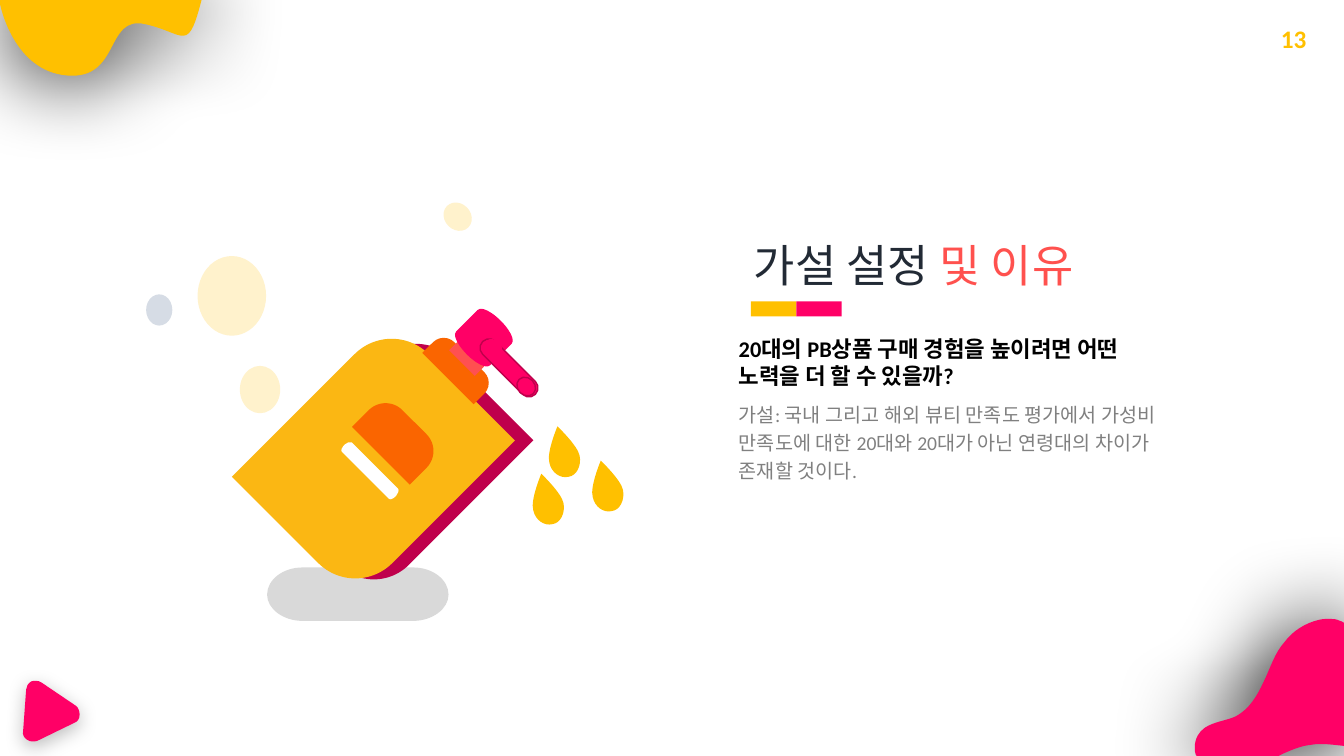
from dataclasses import dataclass

from lxml.etree import SubElement
from pptx import Presentation
from pptx.dml.color import RGBColor
from pptx.enum.lang import MSO_LANGUAGE_ID as Language
from pptx.enum.shapes import MSO_SHAPE as Preset
from pptx.enum.text import MSO_ANCHOR as Anchor, MSO_AUTO_SIZE as AutoSize, PP_ALIGN as Align
from pptx.oxml.ns import qn
from pptx.util import Inches, Pt

UNIT = Inches(0.1)  # one grid step: the slide has 75 rows
COLUMNS, ROWS = 133.33, 75


@dataclass(frozen=True)
class Theme:
    font: str = "Calibri"
    title_size: int = 32
    number_size: int = 18
    question_size: int = 16
    body_size: int = 14
    gold: str = "FFC000"
    pink: str = "FF0066"
    crimson: str = "BF004C"
    amber: str = "FBB713"
    orange: str = "FA6500"
    coral: str = "FF5050"
    title_accent: str = "FF514E"
    cream: str = "FFF2CC"
    mist: str = "D6DCE5"
    ground: str = "D9D9D9"
    white: str = "FFFFFF"
    black: str = "000000"
    navy: str = "222A35"
    grey: str = "808080"


THEME = Theme()


@dataclass(frozen=True)
class Box:
    """A region in grid steps; inner() gives a region relative to it."""
    left: float
    top: float
    width: float
    height: float

    def inner(self, left, top, width, height):
        return Box(self.left + left, self.top + top, width, height)

    def emu(self):
        return [round(value * UNIT) for value in (self.left, self.top, self.width, self.height)]


def paint(shape, fill, line=None):
    shape.shadow.inherit = False
    shape.fill.solid()
    shape.fill.fore_color.rgb = RGBColor.from_string(fill)
    if line:
        shape.line.color.rgb = RGBColor.from_string(line)
        shape.line.width = Pt(1)
    else:
        shape.line.fill.background()
    return shape


def add_preset(slide, preset, box, fill, line=None, rotation=0, adjust=()):
    shape = slide.shapes.add_shape(preset, *box.emu())
    shape.rotation = rotation
    for index, value in enumerate(adjust):
        shape.adjustments[index] = value
    return paint(shape, fill, line)


def add_outline(slide, box, start, segments, fill):
    """Draw line (x, y) and cubic (x1, y1, x2, y2, x, y) segments from start."""
    numbers = [*start, *(value for segment in segments for value in segment)]
    points = [((box.left + x) * UNIT, (box.top + y) * UNIT)
              for x, y in zip(numbers[::2], numbers[1::2])]
    builder = slide.shapes.build_freeform(*points[0])
    builder.add_line_segments(points[1:], close=True)
    shape = builder.convert_to_shape()
    legs = iter(list(shape._element.iter(qn("a:lnTo"))))
    for segment in segments:
        leg = next(legs)
        if len(segment) == 6:
            leg.tag = qn("a:cubicBezTo")
            for extra in (next(legs), next(legs)):
                leg.append(extra[0])
                extra.getparent().remove(extra)
    return paint(shape, fill)


def add_shadow(shape, opacity, blur, distance=0, angle=0):
    effects = shape._element.spPr.find(qn("a:effectLst"))
    shadow = SubElement(effects, qn("a:outerShdw"), blurRad=str(Pt(blur)),
                        dist=str(Pt(distance)), dir=str(angle * 60000),
                        algn="ctr", rotWithShape="0")
    color = SubElement(shadow, qn("a:srgbClr"), val=THEME.black)
    SubElement(color, qn("a:alpha"), val=str(opacity * 1000))


def write(shape, box, *parts, size, bold=False, align=Align.LEFT, spacing=1.0):
    """Fill a text shape with one paragraph made of (text, colour) parts."""
    shape.left, shape.top, shape.width, shape.height = box.emu()
    frame = shape.text_frame
    frame.word_wrap = True
    frame.auto_size = AutoSize.NONE
    frame.vertical_anchor = Anchor.TOP
    para = frame.paragraphs[0]
    properties = para._p.get_or_add_pPr()
    properties.set("marL", "0")
    properties.set("indent", "0")
    SubElement(properties, qn("a:buNone"))
    para.alignment = align
    para.line_spacing = spacing
    para.space_before = Pt(0)
    for text, color in parts:
        span = para.add_run()
        span.text = text
        span.font.name = THEME.font
        span.font.size = Pt(size)
        span.font.bold = bold
        span.font.language_id = Language.KOREAN
        span.font.color.rgb = RGBColor.from_string(color)
        SubElement(span.font._element, qn("a:ea"), typeface=THEME.font)


def draw_bottle(slide, box):
    def part(preset, place, fill, line=None, adjust=(), rotation=45):
        add_preset(slide, preset, box.inner(*place), fill, line, rotation, adjust)

    add_outline(slide, box, (27, 41.6), [
        (28.9, 41.6, 30.5, 40.4, 30.5, 39), (30.5, 37.5, 28.9, 36.3, 27, 36.3), (16, 36.3),
        (14.1, 36.3, 12.5, 37.5, 12.5, 39), (12.5, 40.4, 14.1, 41.6, 16, 41.6),
        (27, 41.6)], THEME.ground)
    part(Preset.ROUND_2_DIAG_RECTANGLE, (17, 14.6, 16.4, 22.4), THEME.crimson, adjust=(0.3, 0))
    for place, fill, rotation in (((9.8, 16.3, 4, 4.7), THEME.cream, 0),
                                  ((5.6, 5.4, 6.8, 7.9), THEME.cream, 0),
                                  ((0.5, 9.2, 2.6, 3.1), THEME.mist, 0),
                                  ((29.9, 0.2, 3, 2.6), THEME.cream, 45)):
        part(Preset.OVAL, place, fill, rotation=rotation)
    part(Preset.ROUND_2_DIAG_RECTANGLE, (14.4, 14.3, 17.3, 22.4), THEME.amber, adjust=(0.3, 0))
    part(Preset.ROUND_2_SAME_RECTANGLE, (27.9, 15, 7.2, 3), THEME.orange, adjust=(0.5, 0))
    part(Preset.SNIP_2_SAME_RECTANGLE, (30.7, 14.4, 3.6, 1.9), THEME.coral, adjust=(0.33, 0))
    part(Preset.FLOWCHART_MAGNETIC_DISK, (31.7, 11.2, 4.6, 4.6), THEME.pink, THEME.pink)
    part(Preset.ROUNDED_RECTANGLE, (32.8, 15.6, 7.4, 1.8), THEME.pink, THEME.crimson, (0.5,))
    part(Preset.OVAL, (33.9, 13.7, 2, 1.7), THEME.pink)
    part(Preset.OVAL, (37.2, 17.5, 2, 1.7), THEME.pink, THEME.crimson)
    add_outline(slide, box, (20.2, 24.1), [
        (20.4, 23.9, 20.7, 23.8, 20.9, 23.9), (25.5, 28.5),
        (25.6, 28.6, 25.5, 29, 25.3, 29.2), (25, 29.5, 24.7, 29.6, 24.6, 29.5),
        (19.9, 24.8), (19.8, 24.7, 19.9, 24.4, 20.2, 24.1)], THEME.white)
    for tip in ((41.3, 22.3), (45.6, 25.7), (39.7, 27)):
        add_outline(slide, box.inner(*tip, 3, 5), (0, 0), [
            (0, 0, 2, 1.9, 2.2, 2.9), (2.4, 3.9, 1.9, 4.9, 1.1, 5),
            (0.3, 5.2, -0.6, 4.6, -0.8, 3.6), (-1.1, 2.6, 0, 0, 0, 0)], THEME.gold)
    part(Preset.ROUND_2_SAME_RECTANGLE, (21.4, 21.2, 8.1, 4.7), THEME.orange, adjust=(0.5, 0))


def draw_top_blob(slide, box):
    blob = add_outline(slide, box, (0, 0.4), [
        (0, 0.4, 1.3, 7.1, 6.7, 7.5), (12, 7.9, 10.4, 1.5, 14.4, 2.4),
        (18.5, 3.3, 18.6, 5.5, 20.1, -0.4), (0, -0.4)], THEME.gold)
    add_shadow(blob, opacity=100, blur=67)


def draw_bottom_blob(slide, box):
    blob = add_outline(slide, box, (13.4, 0), [
        (13.7, 0, 14, 0, 14.4, 0.2), (14.5, 0.2, 14.7, 0.3, 14.8, 0.4), (14.8, 12.6),
        (13.7, 12.5, 12.6, 12.3, 11.5, 12.5), (10.5, 12.6, 9.6, 13, 8.7, 13.4),
        (8.3, 13.6), (0.2, 13.6), (0.1, 13.5), (0, 13.3, 0, 13, 0, 12.7),
        (0, 11.9, 0.4, 11.2, 1, 10.8), (1.9, 10.2, 3.1, 10.1, 4, 9.7),
        (5.4, 9, 6.2, 7.6, 6.8, 6.3), (7.5, 4.9, 7.9, 3.4, 8.9, 2.3),
        (9.7, 1.2, 11, 0.4, 12.3, 0.1), (12.7, 0, 13, 0, 13.4, 0)], THEME.pink)
    add_shadow(blob, opacity=100, blur=67)


def draw_play_mark(slide, box):
    mark = add_outline(slide, box, (5.5, 2.5), [
        (2.1, 0.2), (1.8, 0, 1.4, 0, 1.1, 0.1), (0.8, 0.3, 0.6, 0.6, 0.6, 0.9), (0.3, 5),
        (0.2, 5.4, 0.4, 5.7, 0.7, 5.9), (1, 6.1, 1.4, 6.1, 1.7, 6), (5.4, 4.2),
        (5.7, 4.1, 5.9, 3.8, 5.9, 3.4), (5.9, 3.1, 5.8, 2.7, 5.5, 2.5)], THEME.pink)
    add_shadow(mark, opacity=25, blur=14, distance=4, angle=90)


def write_message(slide, box):
    title, body = slide.placeholders
    write(title, box.inner(-15.8, 0, 68.3, 6.4),
          ("가설 설정 ", THEME.navy), ("및 이유", THEME.title_accent),
          size=THEME.title_size, align=Align.CENTER)
    for column, fill in enumerate((THEME.gold, THEME.pink)):
        add_preset(slide, Preset.RECTANGLE, box.inner(2.2 + 4.5 * column, 6.8, 4.5, 1.5), fill)
    write(body, box.inner(0, 15.9, box.width, 9.4),
          ("가설: 국내 그리고 해외 뷰티 만족도 평가에서 가성비 만족도에 대한 20대와 "
           "20대가 아닌 연령대의 차이가 존재할 것이다.", THEME.grey),
          size=THEME.body_size, spacing=1.2)
    place = box.inner(0, 9.7, box.width, 6.4)
    write(slide.shapes.add_textbox(*place.emu()), place,
          ("20대의 PB상품 구매 경험을 높이려면 어떤 노력을 더 할 수 있을까?", THEME.black),
          size=THEME.question_size, bold=True)


def write_page_number(slide, box):
    write(slide.shapes.add_textbox(*box.emu()), box, ("13", THEME.gold),
          size=THEME.number_size, bold=True, align=Align.RIGHT)


def main():
    deck = Presentation()
    deck.slide_width, deck.slide_height = round(COLUMNS * UNIT), ROWS * UNIT
    slide = deck.slides.add_slide(deck.slide_layouts[1])
    draw_bottle(slide, Box(14, 20, 48, 42))
    draw_top_blob(slide, Box(0, 0, 20.1, 7.9))
    draw_bottom_blob(slide, Box(COLUMNS - 14.8, ROWS - 13.6, 14.8, 13.6))
    draw_play_mark(slide, Box(2, 67.5, 6, 6))
    write_page_number(slide, Box(113.2, 1.8, 17.4, 4))
    write_message(slide, Box(72.3, 23.1, 46.1, 25.3))
    deck.save("out.pptx")


if __name__ == "__main__":
    main()
